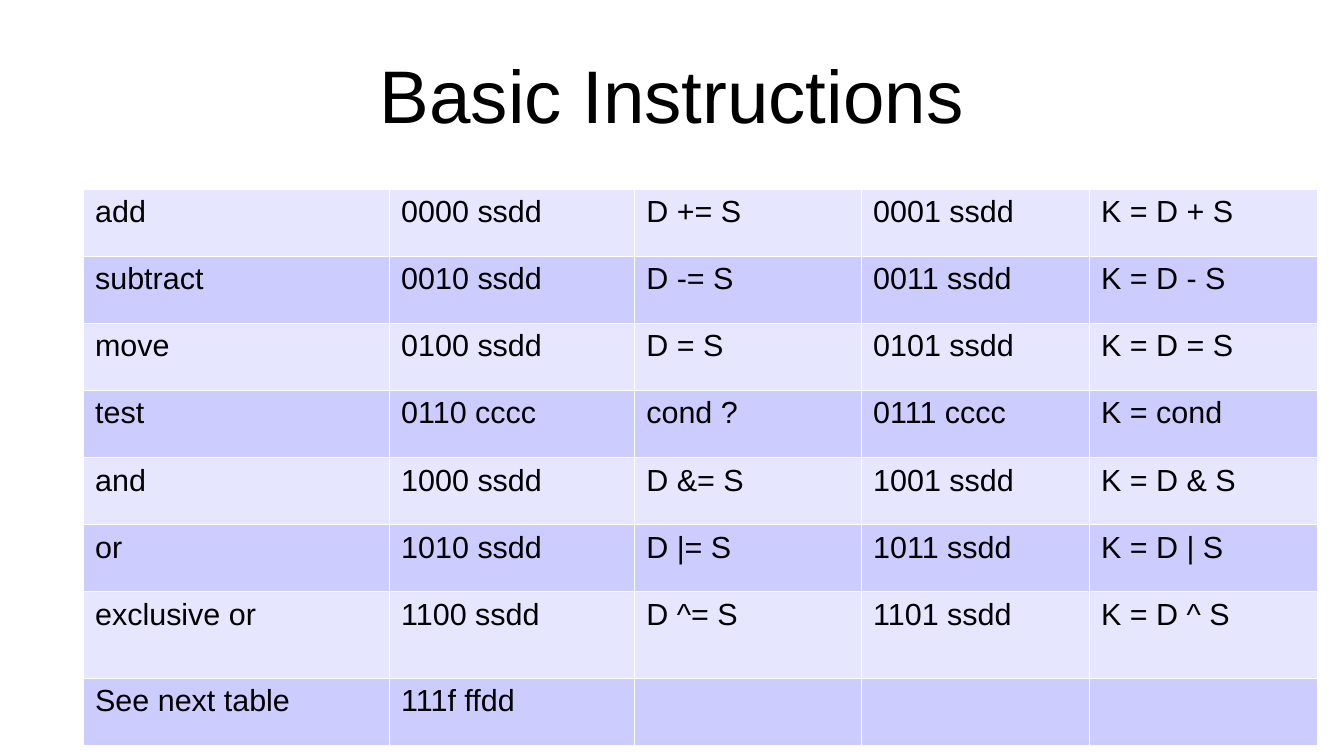
import dataclasses

import lxml.etree
import pptx
import pptx.dml.color
import pptx.enum.text
import pptx.oxml.ns
import pptx.util

Inches = pptx.util.Inches
Pt = pptx.util.Pt


def rgb(value):
    return pptx.dml.color.RGBColor.from_string(value)


@dataclasses.dataclass(frozen=True)
class Theme:
    font: str = "Arial"
    title_size: int = 44
    cell_size: int = 18
    ink: str = "000000"
    rule: str = "FFFFFF"
    rule_width: float = 0.06
    bands: tuple = ("E6E6FF", "CCCCFF")


class SlideBuilder:
    def __init__(self, slide, theme):
        self.slide = slide
        self.theme = theme

    def set_text(self, frame, text, size):
        frame.text = text
        for run in frame.paragraphs[0].runs:
            run.font.name = self.theme.font
            run.font.size = Pt(size)
            run.font.color.rgb = rgb(self.theme.ink)

    def title(self, text, left, top, width, height):
        heading = self.slide.shapes.add_textbox(
            Inches(left), Inches(top), Inches(width), Inches(height))
        frame = heading.text_frame
        frame.word_wrap = True
        frame.margin_left = frame.margin_right = 0
        frame.margin_top = frame.margin_bottom = 0
        frame.vertical_anchor = pptx.enum.text.MSO_ANCHOR.MIDDLE
        self.set_text(frame, text, self.theme.title_size)
        frame.paragraphs[0].alignment = pptx.enum.text.PP_ALIGN.CENTER

    def borders(self, cell):
        qn = pptx.oxml.ns.qn
        properties = cell._tc.get_or_add_tcPr()
        for side in ("lnL", "lnR", "lnT", "lnB"):
            line = lxml.etree.SubElement(
                properties, qn(f"a:{side}"), w=str(Pt(self.theme.rule_width)))
            fill = lxml.etree.SubElement(line, qn("a:solidFill"))
            lxml.etree.SubElement(fill, qn("a:srgbClr"), val=self.theme.rule)

    def table(self, rows, left, top, widths, heights):
        table = self.slide.shapes.add_table(
            len(rows), len(widths), Inches(left), Inches(top),
            Inches(sum(widths)), Inches(sum(heights))).table
        table.first_row = False
        table.horz_banding = False
        for column, width in zip(table.columns, widths):
            column.width = Inches(width)
        for index, (row, height, texts) in enumerate(zip(table.rows, heights, rows)):
            row.height = Inches(height)
            for cell, text in zip(row.cells, texts):
                self.borders(cell)
                cell.fill.solid()
                cell.fill.fore_color.rgb = rgb(self.theme.bands[index % 2])
                self.set_text(cell.text_frame, text, self.theme.cell_size)


INSTRUCTIONS = [
    ("add", "0000 ssdd", "D += S", "0001 ssdd", "K = D + S"),
    ("subtract", "0010 ssdd", "D -= S", "0011 ssdd", "K = D - S"),
    ("move", "0100 ssdd", "D = S", "0101 ssdd", "K = D = S"),
    ("test", "0110 cccc", "cond ?", "0111 cccc", "K = cond"),
    ("and", "1000 ssdd", "D &= S", "1001 ssdd", "K = D & S"),
    ("or", "1010 ssdd", "D |= S", "1011 ssdd", "K = D | S"),
    ("exclusive or", "1100 ssdd", "D ^= S", "1101 ssdd", "K = D ^ S"),
    ("See next table", "111f ffdd", "", "", ""),
]


def main():
    presentation = pptx.Presentation()
    presentation.slide_width = Inches(11.02)
    presentation.slide_height = Inches(6.2)
    slide = presentation.slides.add_slide(presentation.slide_layouts[6])
    builder = SlideBuilder(slide, Theme())
    builder.title("Basic Instructions", 0.55, 0.25, 9.92, 1.04)
    builder.table(INSTRUCTIONS, 0.68, 1.55,
                  widths=[2.51, 2.01, 1.86, 1.87, 1.87],
                  heights=[0.55] * 6 + [0.71, 0.55])
    presentation.save("out.pptx")


if __name__ == "__main__":
    main()
